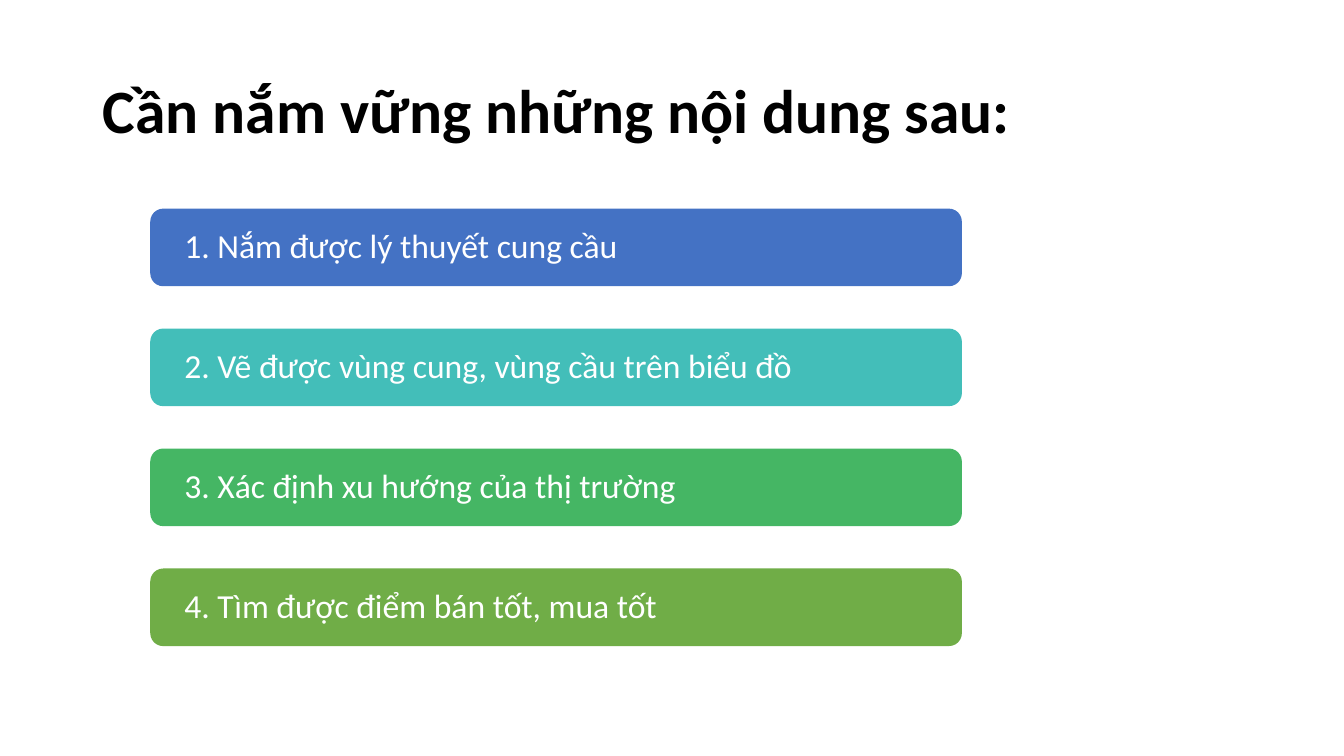
from pptx import Presentation
from pptx.dml.color import RGBColor
from pptx.enum.shapes import MSO_SHAPE
from pptx.enum.text import MSO_ANCHOR, MSO_AUTO_SIZE, PP_ALIGN
from pptx.util import Inches, Pt

COLORS = {
    "black": "000000",
    "white": "FFFFFF",
    "blue": "4472C4",
    "teal": "43BEB9",
    "green": "45B664",
    "olive": "70AD47",
}
HEADING = "Cần nắm vững những nội dung sau:"
TOPICS = [
    ("1. Nắm được lý thuyết cung cầu", "blue"),
    ("2. Vẽ được vùng cung, vùng cầu trên biểu đồ", "teal"),
    ("3. Xác định xu hướng của thị trường", "green"),
    ("4. Tìm được điểm bán tốt, mua tốt", "olive"),
]
BAR_LEFT, BAR_TOP, BAR_WIDTH, BAR_HEIGHT = 1.49, 2.07, 8.05, 0.77
BAR_STEP = 1.19


def rgb(name):
    return RGBColor.from_string(COLORS[name])


def write(shape, text, size, color, bold=False, inset=0.1, inset_y=0.05):
    frame = shape.text_frame
    frame.word_wrap = True
    frame.auto_size = MSO_AUTO_SIZE.NONE
    frame.vertical_anchor = MSO_ANCHOR.MIDDLE
    frame.margin_left = frame.margin_right = Inches(inset)
    frame.margin_top = frame.margin_bottom = Inches(inset_y)
    paragraph = frame.paragraphs[0]
    paragraph.alignment = PP_ALIGN.LEFT
    paragraph.line_spacing = 0.9
    run = paragraph.add_run()
    run.text = text
    run.font.name = "Calibri"
    run.font.size = Pt(size)
    run.font.bold = bold
    run.font.color.rgb = rgb(color)


def main():
    deck = Presentation()
    deck.slide_width, deck.slide_height = Inches(13.33), Inches(7.5)
    slide = deck.slides.add_slide(deck.slide_layouts[5])

    heading = slide.shapes.title
    heading.left, heading.top = Inches(0.92), Inches(0.4)
    heading.width, heading.height = Inches(11.5), Inches(1.45)
    write(heading, HEADING, size=44, color="black", bold=True)

    for row, (topic, color) in enumerate(TOPICS):
        bar = slide.shapes.add_shape(
            MSO_SHAPE.ROUNDED_RECTANGLE,
            Inches(BAR_LEFT), Inches(BAR_TOP + row * BAR_STEP),
            Inches(BAR_WIDTH), Inches(BAR_HEIGHT),
        )
        bar.shadow.inherit = False
        bar.fill.solid()
        bar.fill.fore_color.rgb = rgb(color)
        bar.line.fill.background()
        write(bar, topic, size=24, color="white", inset=0.3, inset_y=0)

    deck.save("out.pptx")


if __name__ == "__main__":
    main()
